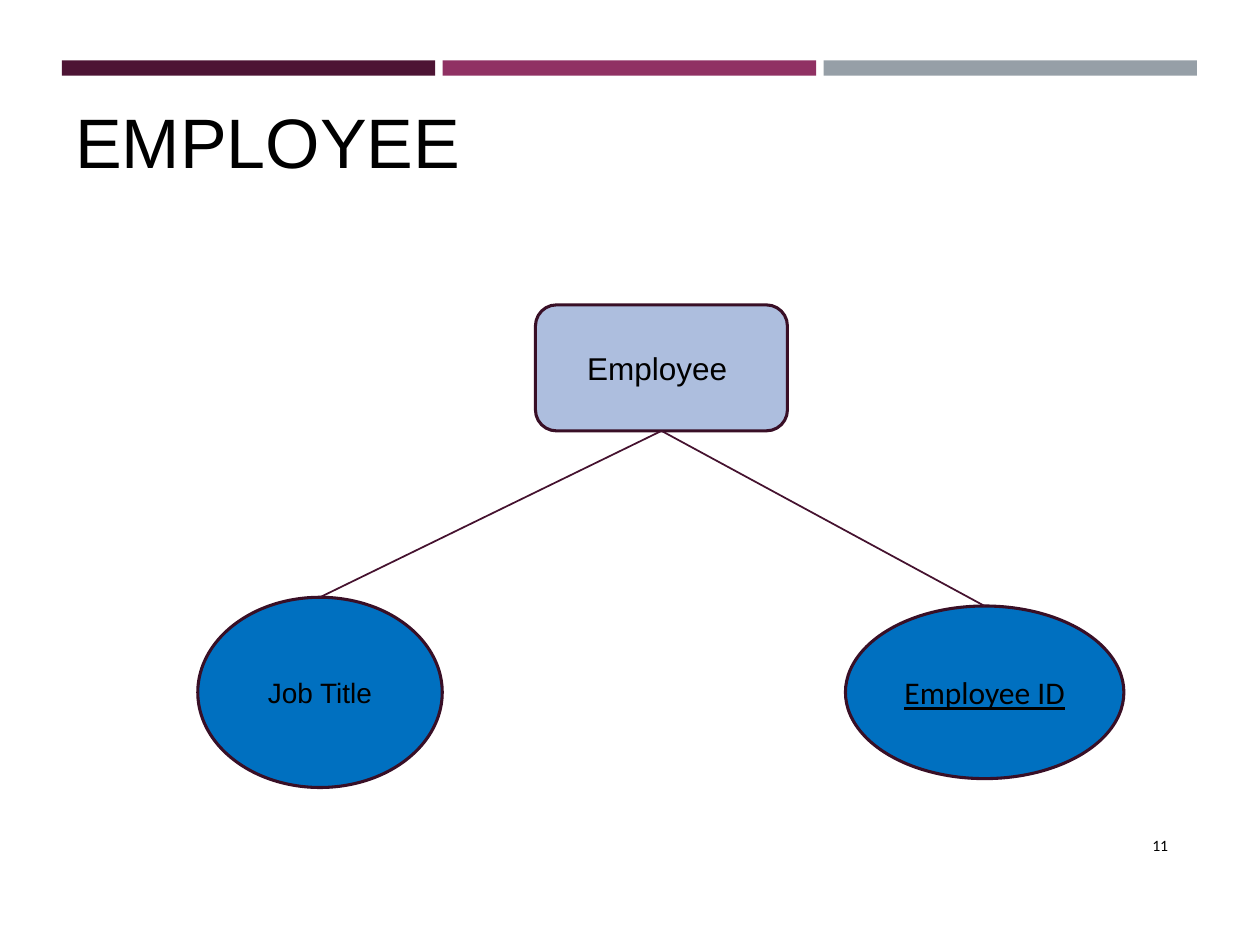
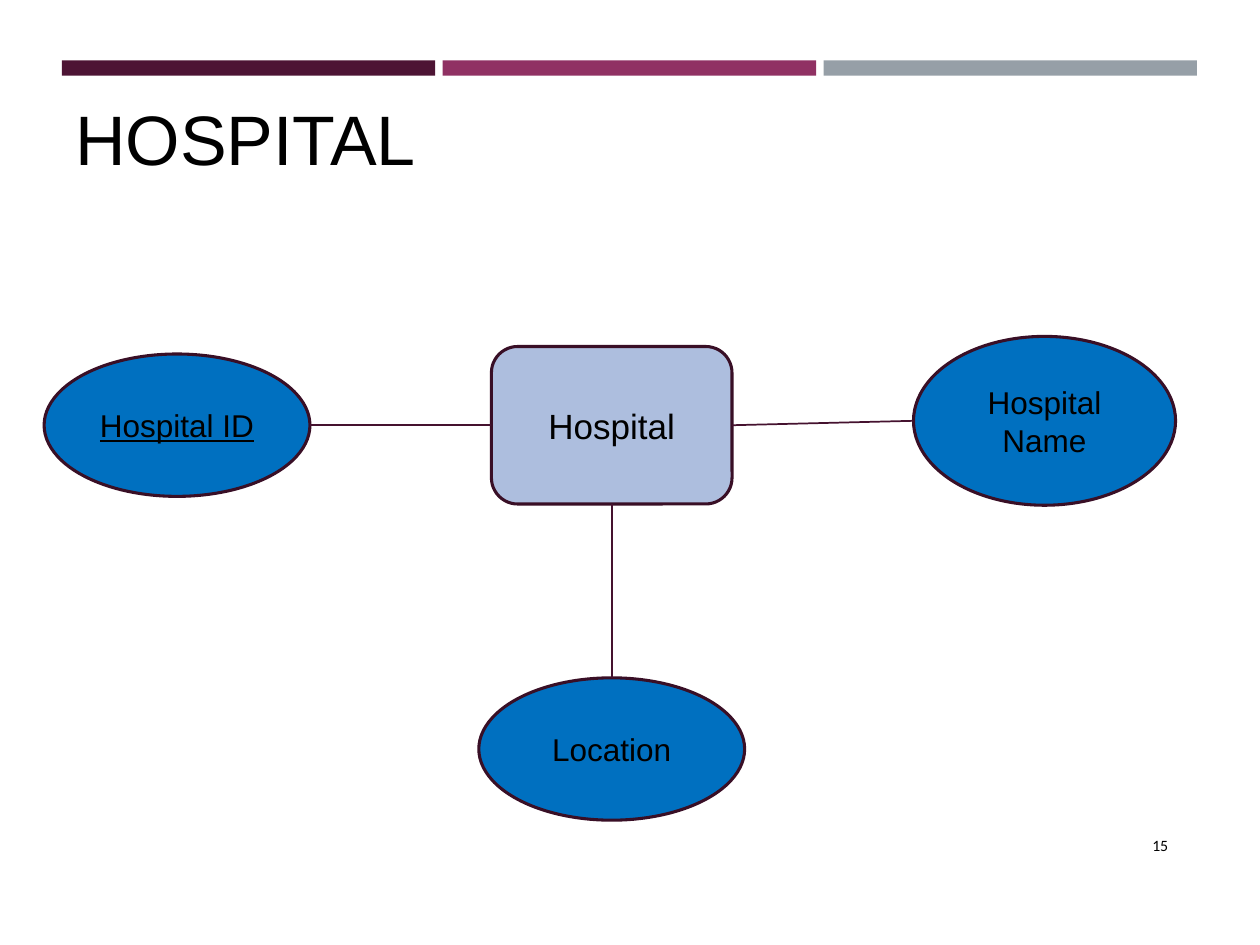
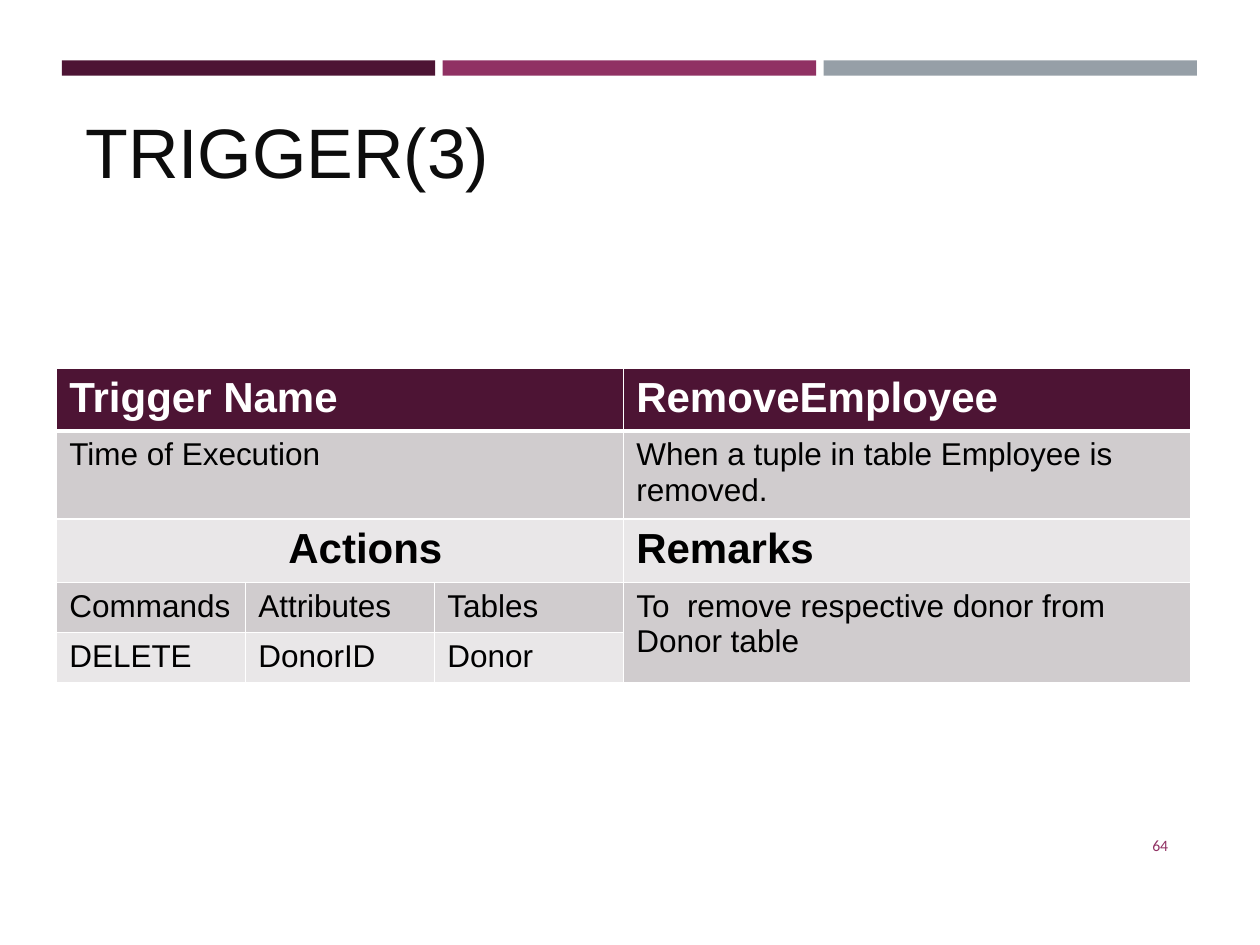
from lxml import etree
from pptx import Presentation
from pptx import util as u
from pptx.dml.color import RGBColor
from pptx.enum import shapes, text
from pptx.oxml.ns import qn

PLUM = RGBColor(0x4D, 0x14, 0x34)
MAGENTA = RGBColor(0x90, 0x31, 0x63)
GREY = RGBColor(0x96, 0x9F, 0xA7)
BLACK = RGBColor(0, 0, 0)
INK = RGBColor(0x0D, 0x0D, 0x0D)
WHITE = RGBColor(0xFF, 0xFF, 0xFF)
ENTITY_FILL = RGBColor(0xAD, 0xBE, 0xDE)
ATTRIBUTE_FILL = RGBColor(0, 0x70, 0xC0)
OUTLINE = RGBColor(0x39, 0x0F, 0x26)
LINK = RGBColor(0x45, 0x12, 0x2F)
ROW_DARK = RGBColor(0xD0, 0xCC, 0xCE)
ROW_LIGHT = RGBColor(0xE9, 0xE7, 0xE8)

# Connection sites of a rectangle
TOP, LEFT, BOTTOM, RIGHT = range(4)


def write(tf, content, size=18, font="Arial", color=BLACK, bold=False,
          underline=False, align=text.PP_ALIGN.LEFT):
    p = tf.paragraphs[0]
    p.alignment = align
    r = p.add_run()
    r.text = content
    f = r.font
    f.size, f.name, f.bold, f.underline = u.Pt(size), font, bold, underline
    f.color.rgb = color


def inches(*values):
    return [u.Inches(v) for v in values]


def side_point(sp, side):
    """Middle of one side of a shape."""
    x, y = sp.left + sp.width // 2, sp.top + sp.height // 2
    return {TOP: (x, sp.top), LEFT: (sp.left, y),
            BOTTOM: (x, sp.top + sp.height), RIGHT: (sp.left + sp.width, y)}[side]


def set_border(cell, edge, width):
    ln = etree.SubElement(cell._tc.get_or_add_tcPr(), qn(f"a:ln{edge}"),
                          w=str(u.Pt(width)))
    fill = etree.SubElement(ln, qn("a:solidFill"))
    etree.SubElement(fill, qn("a:srgbClr"), val=str(WHITE))


class Deck:
    def __init__(self):
        self.prs = Presentation()
        self.prs.slide_width, self.prs.slide_height = inches(10, 7.5)
        self.s = None

    def slide(self, title, title_box, number, title_color=BLACK, number_color=BLACK):
        self.s = self.prs.slides.add_slide(self.prs.slide_layouts[6])
        self.bands()
        self.text(title, title_box, text.MSO_ANCHOR.BOTTOM, size=40, color=title_color)
        self.text(number, (8.53, 6.51, 0.84, 0.4), text.MSO_ANCHOR.MIDDLE, size=9,
                  font="Calibri", color=number_color, align=text.PP_ALIGN.RIGHT)

    def bands(self):
        left, total, gap = 0.49, 9.01, 0.06
        colors = (PLUM, MAGENTA, GREY)
        width = (total - gap * (len(colors) - 1)) / len(colors)
        for i, color in enumerate(colors):
            box = (left + i * (width + gap), 0.48, width, 0.12)
            self.shape(shapes.MSO_SHAPE.RECTANGLE, box, color)

    def text(self, content, box, anchor, **fmt):
        tf = self.s.shapes.add_textbox(*inches(*box)).text_frame
        tf.word_wrap = True
        tf.vertical_anchor = anchor
        write(tf, content, **fmt)

    def shape(self, kind, box, fill, outline=None):
        sp = self.s.shapes.add_shape(kind, *inches(*box))
        sp.shadow.inherit = False
        sp.fill.solid()
        sp.fill.fore_color.rgb = fill
        if outline is None:
            sp.line.fill.background()
        else:
            sp.line.color.rgb = outline
            sp.line.width = u.Pt(1.75)
        return sp

    def node(self, kind, label, box, fill, **fmt):
        sp = self.shape(kind, box, fill, OUTLINE)
        tf = sp.text_frame
        tf.word_wrap = True
        tf.vertical_anchor = text.MSO_ANCHOR.MIDDLE
        write(tf, label, align=text.PP_ALIGN.CENTER, **fmt)
        return sp

    def entity(self, label, box, **fmt):
        return self.node(shapes.MSO_SHAPE.ROUNDED_RECTANGLE, label, box,
                         ENTITY_FILL, **fmt)

    def attribute(self, label, box, **fmt):
        return self.node(shapes.MSO_SHAPE.OVAL, label, box, ATTRIBUTE_FILL, **fmt)

    def link(self, entity, entity_side, attribute, attribute_side):
        ends = side_point(entity, entity_side) + side_point(attribute, attribute_side)
        c = self.s.shapes.add_connector(shapes.MSO_CONNECTOR.STRAIGHT, *ends)
        c.begin_connect(entity, entity_side)
        if attribute_side == TOP:  # an ellipse numbers its other sites differently
            c.end_connect(attribute, TOP)
        c.line.color.rgb = LINK
        c.line.width = u.Pt(1)
        etree.SubElement(c._element.spPr, qn("a:effectLst"))

    def table(self, left, top, widths, heights, fills, merges, cells):
        frame = self.s.shapes.add_table(len(heights), len(widths), *inches(
            left, top, sum(widths), sum(heights)))
        tbl = frame.table
        for col, width in zip(tbl.columns, widths):
            col.width = u.Inches(width)
        for row, height in zip(tbl.rows, heights):
            row.height = u.Inches(height)
        for r, fill in enumerate(fills):
            for c in range(len(widths)):
                cell = tbl.cell(r, c)
                for edge in "LRTB":
                    below_header = (r, edge) in ((0, "B"), (1, "T"))
                    set_border(cell, edge, 3 if below_header else 1)
                cell.fill.solid()
                cell.fill.fore_color.rgb = fill
        for first, last in merges:
            tbl.cell(*first).merge(tbl.cell(*last))
        for (r, c), (content, fmt) in cells.items():
            write(tbl.cell(r, c).text_frame, content, **fmt)
        return tbl


def employee_slide(d):
    d.slide("EMPLOYEE", (0.5, 0.72, 9, 0.78), "11")
    job = d.attribute("Job Title", (1.57, 4.74, 1.94, 1.51), size=16)
    key = d.attribute("Employee ID", (6.71, 4.81, 2.21, 1.37), font="Calibri",
                      underline=True)
    employee = d.entity("Employee ", (4.25, 2.42, 2, 1))
    for attribute in (job, key):
        d.link(employee, BOTTOM, attribute, TOP)


def hospital_slide(d):
    d.slide("HOSPITAL", (0.5, 0.58, 8.87, 0.89), "15")
    hospital = d.entity("Hospital", (3.9, 2.75, 1.91, 1.25), size=20)
    name = d.attribute("Hospital Name", (7.25, 2.67, 2.08, 1.34))
    location = d.attribute("Location", (3.8, 5.38, 2.11, 1.13))
    key = d.attribute("Hospital ID", (0.35, 2.81, 2.11, 1.13), underline=True)
    d.link(hospital, LEFT, key, RIGHT)
    d.link(hospital, BOTTOM, location, TOP)
    d.link(hospital, RIGHT, name, LEFT)


def trigger_slide(d):
    d.slide("TRIGGER(3)", (0.58, 0.75, 8.74, 0.83), "64", INK, MAGENTA)
    header = dict(size=24, bold=True, color=WHITE)
    heading = dict(size=24, bold=True)
    body = dict(size=18)
    tbl = d.table(
        0.45, 2.92, (1.5, 1.5, 1.5, 4.5), (0.41, 0.41, 0.41, 0.2, 0.2),
        fills=(PLUM, ROW_DARK, ROW_LIGHT, ROW_DARK, ROW_LIGHT),
        merges=[((r, 0), (r, 2)) for r in range(3)] + [((3, 3), (4, 3))],
        cells={
            (0, 0): ("Trigger Name", header),
            (0, 3): ("RemoveEmployee", header),
            (1, 0): ("Time of Execution", body),
            (1, 3): ("When a tuple in table Employee is removed.", body),
            (2, 0): ("Actions", dict(heading, align=text.PP_ALIGN.CENTER)),
            (2, 3): ("Remarks", heading),
            (3, 0): ("Commands", body),
            (3, 1): ("Attributes", body),
            (3, 2): ("Tables", body),
            (3, 3): ("To  remove respective donor from Donor table", body),
            (4, 0): ("DELETE", body),
            (4, 1): ("DonorID", body),
            (4, 2): ("Donor", body),
        })
    tbl.cell(2, 0).margin_left = u.Inches(0.5)


def main():
    d = Deck()
    employee_slide(d)
    hospital_slide(d)
    trigger_slide(d)
    d.prs.save("out.pptx")


if __name__ == "__main__":
    main()
